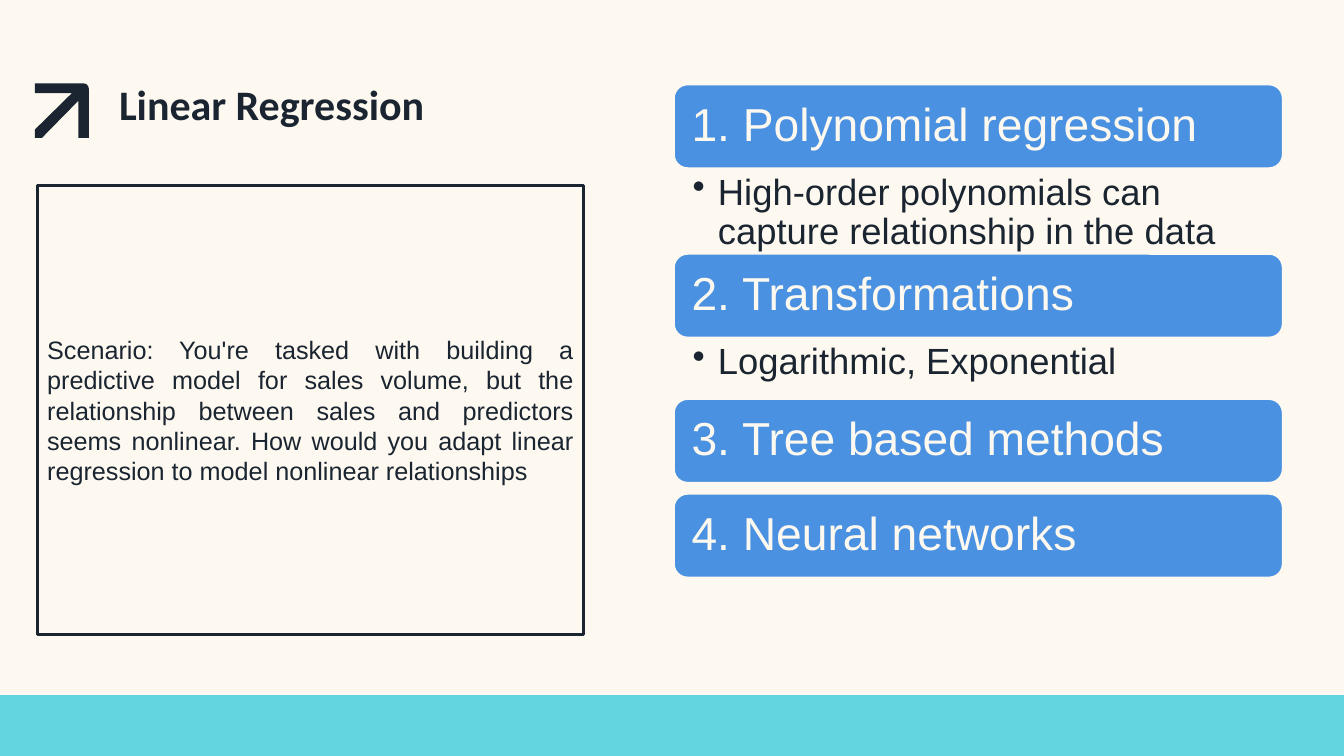
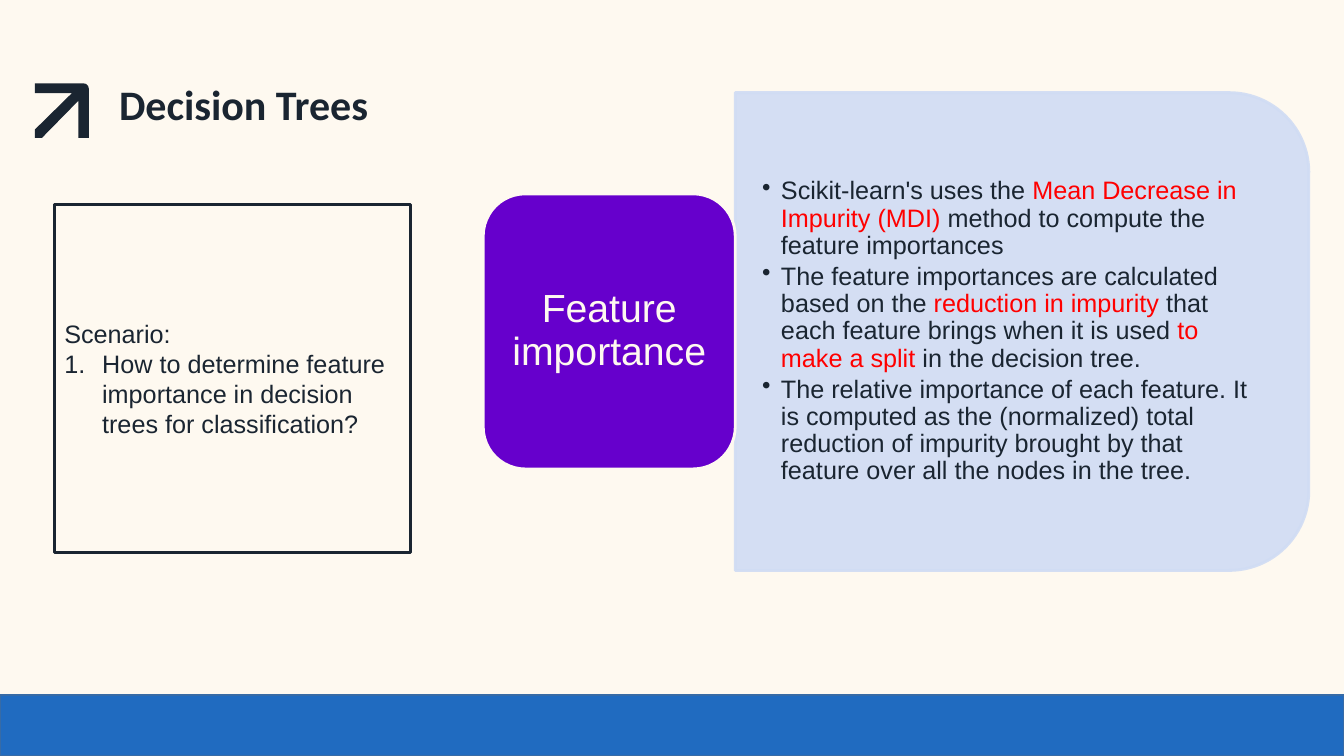
from lxml import etree
from pptx import Presentation
from pptx.dml.color import RGBColor
from pptx.enum.shapes import MSO_SHAPE as Kind
from pptx.enum.text import MSO_ANCHOR as Anchor, PP_ALIGN as Align
from pptx.oxml.ns import qn
from pptx.util import Pt

COLORS = {"cream": "FEF9F0", "ink": "1A2531", "teal": "63D5E0", "sky": "4A91E1",
          "blue": "206BC0", "edge": "376BA6", "violet": "6600CC",
          "mist": "D0DCF4", "red": "FF0000"}
WIDE, HIGH = 960, 540

# Text between asterisks is shown in red.
TASK = ["Scenario: You're tasked with building a predictive model for sales volume, "
        "but the relationship between sales and predictors seems nonlinear. How would "
        "you adapt linear regression to model nonlinear relationships"]
# Heading, detail below it, room before the next heading
METHODS = [
    ("1. Polynomial regression",
     "High-order polynomials can capture relationship in the data", 60.5),
    ("2. Transformations", "Logarithmic, Exponential", 43.2),
    ("3. Tree based methods", None, 7.2),
    ("4. Neural networks", None, 0),
]
QUERY = ["Scenario:",
         "How to determine feature importance in decision trees for classification?"]
TOPIC = "Feature importance"
FACTS = [
    "Scikit-learn's uses the *Mean Decrease in Impurity (MDI) *method to compute "
    "the feature importances",
    "The feature importances are calculated based on the *reduction in impurity* that "
    "each feature brings when it is used *to make a split* in the decision tree.",
    "The relative importance of each feature. It is computed as the (normalized) total "
    "reduction of impurity brought by that feature over all the nodes in the tree.",
]
ARROW = [(0, 0), (0, 7), (26.5, 7), (0, 33), (0, 39), (5, 39), (31, 12.5),
         (31, 39), (38.5, 39), (38.5, 4), (38, 2), (36.5, 0.5), (34.5, 0)]


def rgb(name):
    return RGBColor.from_string(COLORS[name])


def paint(shape, fill, line=None):
    shape.shadow.inherit = False
    shape.fill.solid()
    shape.fill.fore_color.rgb = rgb(fill)
    if line:
        shape.line.color.rgb = rgb(line)
        shape.line.width = Pt(2)
    else:
        shape.line.fill.background()
    return shape


def block(slide, kind, at, fill, line=None):
    return paint(slide.shapes.add_shape(kind, *map(Pt, at)), fill, line)


def label(slide, at):
    return slide.shapes.add_textbox(*map(Pt, at))


def write(shape, paras, size, color="ink", font="Arial", bold=False, align=Align.LEFT,
          anchor=Anchor.MIDDLE, pads=(7.2, 3.6, 7.2, 3.6), lead=None, after=0):
    """Fill the shape with text; pads run left, top, right, bottom."""
    frame = shape.text_frame
    frame.word_wrap = True
    frame.vertical_anchor = anchor
    (frame.margin_left, frame.margin_top,
     frame.margin_right, frame.margin_bottom) = map(Pt, pads)
    for i, text in enumerate(paras):
        para = frame.paragraphs[0] if i == 0 else frame.add_paragraph()
        para.alignment = align
        para.space_after = Pt(after)
        if lead:
            para.line_spacing = lead
        for j, part in enumerate(text.split("*")):
            run = para.add_run()
            run.text = part
            run.font.name, run.font.size, run.font.bold = font, Pt(size), bold
            run.font.color.rgb = rgb("red" if j % 2 else color)
    return frame.paragraphs


def mark(para, indent, tag="a:buChar", **kind):
    """Give the paragraph a hanging bullet or number."""
    props = para._p.get_or_add_pPr()
    props.set("marL", str(Pt(indent)))
    props.set("indent", str(-Pt(indent)))
    etree.SubElement(props, qn(tag), **(kind or {"char": "•"}))


def fade(shape, percent):
    for color in shape._element.spPr.iter(qn("a:srgbClr")):
        etree.SubElement(color, qn("a:alpha"), val=str(percent * 1000))


def start(deck, title, band, edge=None):
    """Add a slide with the shared band, arrow and title."""
    slide = deck.slides.add_slide(deck.slide_layouts[6])
    block(slide, Kind.RECTANGLE, (0, 496.5, WIDE, HIGH - 496.5), band, edge)
    spots = [(Pt(25 + x), Pt(59.5 + y)) for x, y in ARROW]
    pen = slide.shapes.build_freeform(*spots[0])
    pen.add_line_segments(spots[1:])
    paint(pen.convert_to_shape(), "ink")
    write(label(slide, (75.6, 46.8, 326, 60.5)), [title], 30, font="Calibri",
          bold=True, anchor=Anchor.TOP, pads=(9.4,) * 4)
    return slide


def linear(deck):
    slide = start(deck, "Linear Regression", "teal")
    card = block(slide, Kind.RECTANGLE, (26.6, 132.5, 390.2, 321), "cream", "ink")
    write(card, TASK, 18, align=Align.JUSTIFY)
    left, top, wide, tall = 481, 60, 435.6, 60.5
    for head, detail, room in METHODS:
        bar = block(slide, Kind.ROUNDED_RECTANGLE, (left, top, wide, tall), "sky", "cream")
        write(bar, [head], 33, "cream", pads=(10,) * 4, lead=0.9)
        top += tall
        if detail:
            note = label(slide, (left, top, wide, room))
            paras = write(note, [detail], 26, anchor=Anchor.TOP,
                          pads=(13.8, 3.6, 18.7, 3.6), lead=0.9)
            mark(paras[0], 18)
        top += room


def trees(deck):
    slide = start(deck, "Decision Trees", "blue", "edge")
    card = block(slide, Kind.RECTANGLE, (38.9, 145.8, 254.6, 249), "cream", "ink")
    paras = write(card, QUERY, 18)
    mark(paras[1], 27, "a:buAutoNum", type="arabicPeriod")
    panel = block(slide, Kind.ROUND_2_SAME_RECTANGLE, (559.4, 32, 341.3, 409.7),
                  "mist", "mist")
    panel.rotation = 90
    fade(panel, 90)
    facts = write(label(slide, (525, 82.8, 393, 308.2)), FACTS, 18,
                  pads=(19.4, 10, 19.4, 10), lead=0.9, after=2.7)
    for para in facts:
        mark(para, 13.5)
    tile = block(slide, Kind.ROUNDED_RECTANGLE, (345.2, 138.5, 180, 196.5),
                 "violet", "cream")
    write(tile, [TOPIC], 28, "cream", align=Align.CENTER,
          pads=(8.6, 4.3, 8.6, 4.3), lead=0.9)


def main():
    deck = Presentation()
    deck.slide_width, deck.slide_height = Pt(WIDE), Pt(HIGH)
    back = deck.slide_master.background.fill
    back.solid()
    back.fore_color.rgb = rgb("cream")
    linear(deck)
    trees(deck)
    deck.save("out.pptx")


if __name__ == "__main__":
    main()
